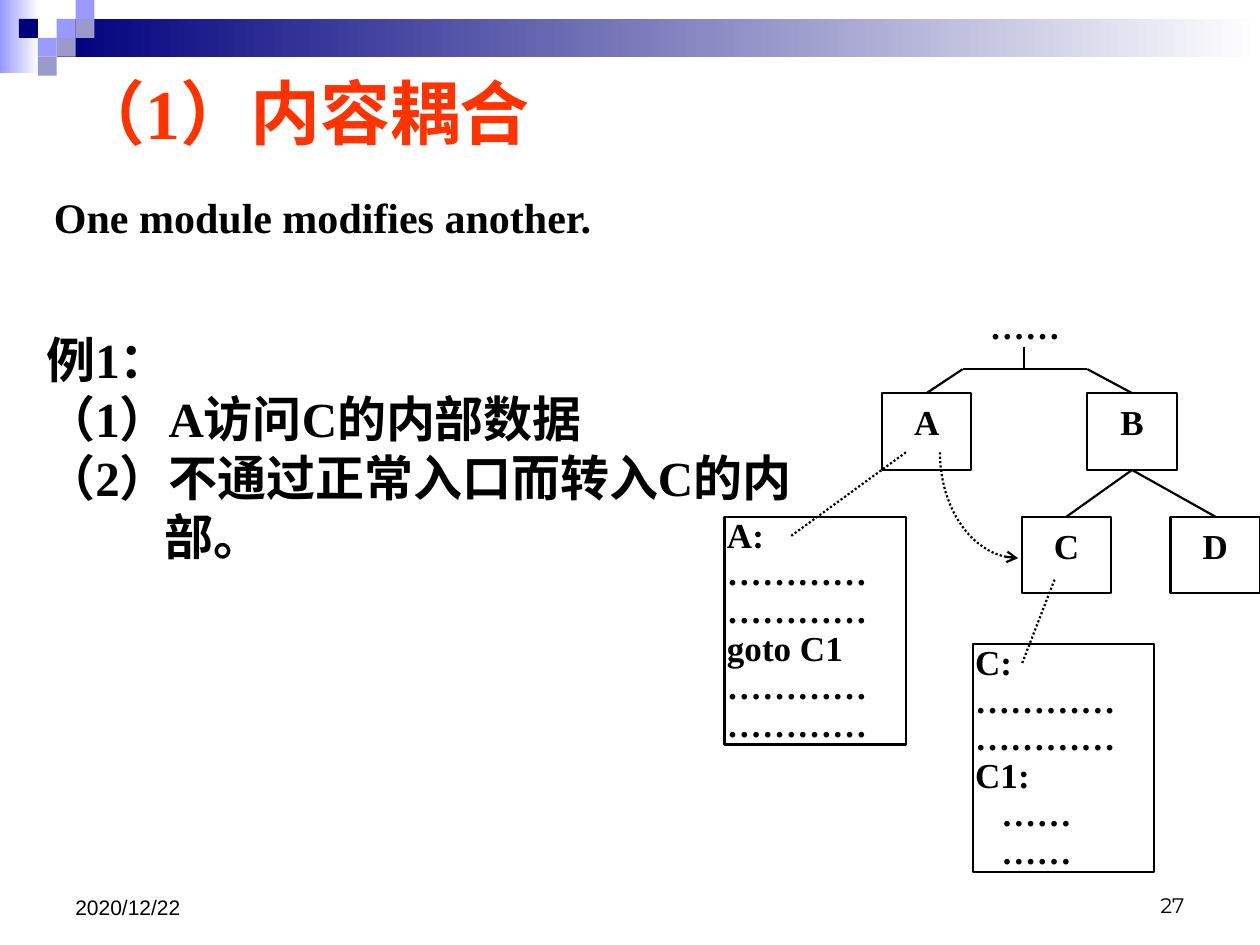
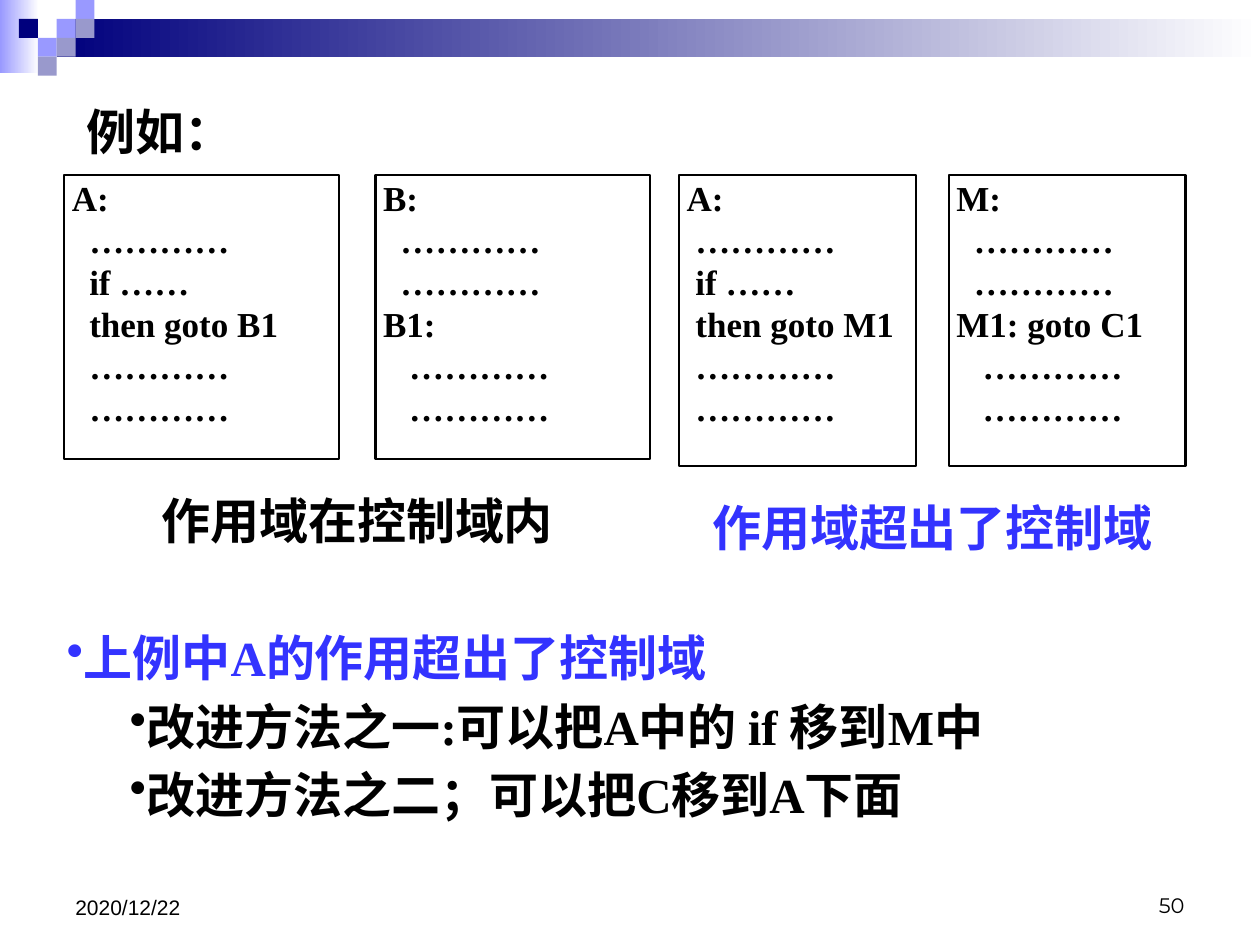
from math import cos, pi, sin

from lxml import etree
from pptx import Presentation
from pptx.dml.color import RGBColor
from pptx.enum.dml import MSO_LINE_DASH_STYLE as DASH
from pptx.enum.shapes import MSO_CONNECTOR, MSO_SHAPE
from pptx.enum.text import MSO_ANCHOR as ANCHOR, PP_ALIGN as ALIGN
from pptx.oxml.ns import qn
from pptx.util import Inches, Pt

# Lengths are cells of a grid with 100 columns and 75 rows.
COLS, ROWS = 100, 75
CELL = Inches(0.1)
STEP = 1.5  # side of a header square

COLORS = {
    "ink": "000000", "paper": "FFFFFF", "title": "FF3300", "accent": "3333FF",
    "navy": "00007D", "lilac": "9999FF", "slate": "9999CC",
}
SERIF = "Times New Roman"
TITLE = {"size": 40, "color": "title"}
BODY = {"size": 28}
LEAD = {"size": 24}
CODE = {"size": 20}
DATE = {"size": 12, "bold": False, "name": "Arial"}
NUMBER = {"size": 12, "bold": False, "name": "Montserrat"}
INSET = (1, 0.5, 1, 0.5)
TIGHT = (0.2, 0.1, 0.2, 0.1)
SNUG = (0.6, 0.1, 0.6, 0.1)

# Header squares: column, row, colour
SQUARES = [
    (3, 1, "lilac"), (4, 0, "lilac"), (4, 1, "slate"), (2, 2, "lilac"),
    (1, 1, "navy"), (3, 2, "slate"), (2, 3, "slate"),
]


def cells(*values):
    return [round(v * CELL) for v in values]


def rgb(name):
    return RGBColor.from_string(COLORS[name])


def style_run(r, fmt):
    values = {"name": SERIF, "bold": True, "color": "ink", **fmt}
    r.font.color.rgb = rgb(values.pop("color"))
    values["size"] = Pt(values["size"])
    for key, value in values.items():
        setattr(r.font, key, value)


def write(sp, lines, fmt, inset=INSET, anchor=ANCHOR.TOP, **para):
    """Fill a shape with one paragraph per line; para holds paragraph attributes."""
    tf = sp.text_frame
    tf.word_wrap = True
    tf.vertical_anchor = anchor
    for side, value in zip(("left", "top", "right", "bottom"), cells(*inset)):
        setattr(tf, f"margin_{side}", value)
    for i, line in enumerate(lines):
        p = tf.add_paragraph() if i else tf.paragraphs[0]
        for key, value in para.items():
            setattr(p, key, value)
        r = p.add_run()
        r.text = line
        style_run(r, fmt)
    return tf.paragraphs


def add_text(s, at, lines, fmt, **options):
    return write(s.shapes.add_textbox(*cells(*at)), lines, fmt, **options)


def add_rect(s, at, *fill):
    """Plain rectangle; two fill colours make a left-to-right gradient."""
    sp = s.shapes.add_shape(MSO_SHAPE.RECTANGLE, *cells(*at))
    sp.shadow.inherit = False
    sp.line.fill.background()
    if len(fill) == 2:
        sp.fill.gradient()
        sp.fill.gradient_angle = 0
        for stop, name in zip(sp.fill.gradient_stops, fill):
            stop.color.rgb = rgb(name)
    else:
        sp.fill.solid()
        sp.fill.fore_color.rgb = rgb(fill[0])
    return sp


def style_line(line, dotted=False):
    line.color.rgb = rgb("ink")
    line.width = Pt(1.25)
    if dotted:
        line.dash_style = DASH.ROUND_DOT


def add_box(s, at, lines, **options):
    sp = add_rect(s, at, "paper")
    style_line(sp.line)
    write(sp, lines, CODE, **options)


def add_line(s, start, end, dotted=False):
    ln = s.shapes.add_connector(MSO_CONNECTOR.STRAIGHT, *cells(*start, *end))
    etree.SubElement(ln._element.spPr, qn("a:effectLst"))
    style_line(ln.line, dotted)


def add_curved_arrow(s, start, end, segments=24):
    """Dotted quarter ellipse leaving start downwards, reaching end sideways."""
    (x0, y0), (x1, y1) = start, end
    angles = [pi / 2 * i / segments for i in range(segments + 1)]
    points = [cells(x1 - (x1 - x0) * cos(a), y0 + (y1 - y0) * sin(a)) for a in angles]
    builder = s.shapes.build_freeform(*points[0])
    builder.add_line_segments(points[1:], close=False)
    sp = builder.convert_to_shape()
    sp.shadow.inherit = False
    sp.fill.background()
    style_line(sp.line, dotted=True)
    etree.SubElement(sp.line._get_or_add_ln(), qn("a:tailEnd"), type="arrow")


def set_indent(p, left, first=0, bullet=None):
    pPr = p._p.get_or_add_pPr()
    for key, value in zip(("marL", "indent"), cells(left, first)):
        pPr.set(key, str(value))
    if bullet:
        etree.SubElement(pPr, qn("a:buChar"), char=bullet)


def add_slide(prs, number):
    """Blank slide with the header band, date and page number."""
    s = prs.slides.add_slide(prs.slide_layouts[6])
    add_rect(s, (0, 0, 3.1, 5.8), "lilac", "paper")
    add_rect(s, (3 * STEP, STEP, COLS - 3 * STEP, 2 * STEP), "navy", "paper")
    for col, row, color in SQUARES:
        add_rect(s, (col * STEP, row * STEP, STEP, STEP), color)
    add_text(s, (71.7, 68.3, 23.3, 5), [number], NUMBER,
             anchor=ANCHOR.BOTTOM, alignment=ALIGN.RIGHT)
    add_text(s, (5, 68.3, 23.3, 5.2), ["2020/12/22"], DATE, anchor=ANCHOR.BOTTOM)
    return s


def draw_module_tree(s):
    node_w, node_h = 7.1, 6.1
    upper, lower, bus = 31.2, 41, 29.3
    nodes = {"A": (70, upper), "B": (86.3, upper),
             "C": (81.1, lower), "D": (92.9, lower)}
    mid = {name: x + node_w / 2 for name, (x, _) in nodes.items()}
    root = (mid["A"] + mid["B"]) / 2 - 0.4
    bus_left, bus_right = root - 4.9, root + 5

    add_text(s, (root - 4.9, 24.1, 9.9, 3.7), ["……"], CODE, inset=SNUG,
             alignment=ALIGN.CENTER)
    add_line(s, (root, 27.5), (root, bus))
    add_line(s, (bus_left, bus), (bus_right, bus))
    add_line(s, (bus_left, bus), (mid["A"], upper))
    add_line(s, (bus_right, bus), (mid["B"], upper))
    for name, (x, y) in nodes.items():
        add_box(s, (x, y, node_w, node_h), [name], inset=(0.2, 0.6, 0.2, 0.2),
                alignment=ALIGN.CENTER)
    for child in "CD":
        add_line(s, (mid["B"], upper + node_h), (mid[child], lower))


def draw_module_code(s):
    dots = "…………"
    listings = [
        (57.5, 41, ["A:", dots, dots, "goto C1", dots, dots]),
        (77.2, 51.1, ["C:", dots, dots, "C1:", "   ……", "   ……"]),
    ]
    for x, y, lines in listings:
        add_box(s, (x, y, 14.4, 18.1), lines, inset=TIGHT,
                alignment=ALIGN.JUSTIFY, line_spacing=0.9)
    add_line(s, (71.9, 35.9), (62.7, 42.6), dotted=True)
    add_line(s, (83.7, 46), (81.1, 52.7), dotted=True)
    add_curved_arrow(s, (74.6, 35.9), (80.8, 44.3))


def content_coupling(prs):
    s = add_slide(prs, "27")
    add_text(s, (5, 4.4, 90, 8.9), ["（1）内容耦合"], TITLE, anchor=ANCHOR.MIDDLE)
    add_text(s, (3.3, 14.7, 82.1, 5), ["One module modifies another."], LEAD)
    example = ["例1：", "（1）A访问C的内部数据", "（2）不通过正常入口而转入C的内部。"]
    for p in add_text(s, (2.7, 25.7, 62.3, 19.7), example, BODY):
        set_indent(p, 9.4, -9.4)
    draw_module_tree(s)
    draw_module_code(s)


def draw_listing_pair(s, left, width, gap, height, listings, caption, color):
    """Two code boxes side by side with a caption centred below them."""
    top = 13.9
    for i, lines in enumerate(listings):
        add_box(s, (left + i * (width + gap), top, width, height), lines,
                inset=SNUG, alignment=ALIGN.JUSTIFY)
    add_text(s, (left, top + height + 2, 2 * width + gap, 6.2), [caption],
             {**BODY, "color": color}, alignment=ALIGN.CENTER)


def scope_of_effect(prs):
    s = add_slide(prs, "50")
    add_text(s, (5.9, 7.6, 85, 6), ["例如："], BODY)
    one, two, three = (" " * n + "…………" for n in (1, 2, 3))
    draw_listing_pair(s, 5.1, 21.8, 2.9, 22.5, [
        ["A:", two, "  if ……", "  then goto B1", two, two],
        ["B:", two, two, "B1:", three, three],
    ], "作用域在控制域内", "ink")
    draw_listing_pair(s, 53.9, 18.8, 2.6, 23.1, [
        ["A:", one, " if ……", " then goto M1", one, one],
        ["M:", two, two, "M1: goto C1", three, three],
    ], "作用域超出了控制域", "accent")

    remedies = ["上例中A的作用超出了控制域", "改进方法之一:可以把A中的 if 移到M中",
                "改进方法之二；可以把C移到A下面"]
    paragraphs = add_text(s, (4.3, 49.3, 92.5, 16.9), remedies, BODY)
    for i, p in enumerate(paragraphs):
        if i:
            p.level = 1
            p.space_before = Pt(5.6)
        set_indent(p, 5 * p.level, bullet="•")
    paragraphs[0].runs[0].font.color.rgb = rgb("accent")


def main():
    prs = Presentation()
    prs.slide_width, prs.slide_height = cells(COLS, ROWS)
    content_coupling(prs)
    scope_of_effect(prs)
    prs.save("out.pptx")


if __name__ == "__main__":
    main()
